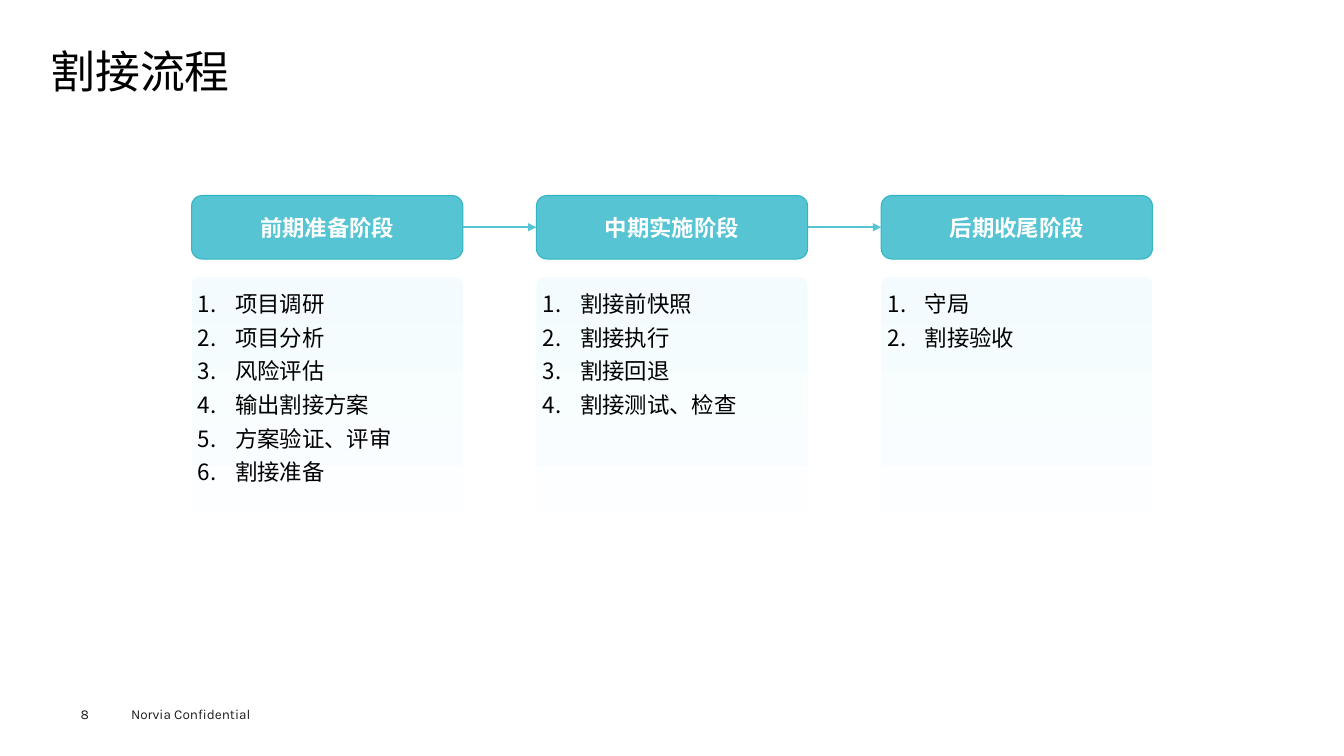
from lxml import etree
from pptx import Presentation
from pptx import util as u
from pptx.dml.color import RGBColor
from pptx.enum import shapes, text
from pptx.oxml.ns import qn

PX = 9144  # 100 px to the inch
FONT = "Karla"
BLACK = RGBColor(0x00, 0x00, 0x00)
WHITE = RGBColor(0xFF, 0xFF, 0xFF)
INK = RGBColor(0x1D, 0x1D, 0x1B)
TEAL = RGBColor(0x56, 0xC4, 0xD2)
TEAL_EDGE = RGBColor(0x30, 0xB5, 0xC5)
PALE_BLUE = RGBColor(0xF3, 0xFB, 0xFE)

STAGES = [
    ("前期准备阶段", ["项目调研", "项目分析", "风险评估", "输出割接方案",
                "方案验证、评审", "割接准备"]),
    ("中期实施阶段", ["割接前快照", "割接执行", "割接回退", "割接测试、检查"]),
    ("后期收尾阶段", ["守局", "割接验收"]),
]
STAGE_WIDTH, STAGE_PITCH = 269, 342
HEADER_HEIGHT, PANEL_OFFSET, PANEL_HEIGHT = 63, 81, 281


def px(*lengths):
    return [u.Emu(length * PX) for length in lengths]


def add_span(para, words, size, color, bold=False):
    span = para.add_run()
    span.text = words
    span.font.name = FONT
    span.font.size = u.Pt(size)
    span.font.bold = bold
    span.font.color.rgb = color


def set_insets(frame, inset):
    inset = px(inset)[0]
    frame.margin_left = frame.margin_right = inset
    frame.margin_top = frame.margin_bottom = inset


def add_label(page, box, words, size, color, inset=0, spacing=None):
    frame = page.shapes.add_textbox(*px(*box)).text_frame
    frame.word_wrap = True
    set_insets(frame, inset)
    para = frame.paragraphs[0]
    para.line_spacing = spacing
    add_span(para, words, size, color)


def add_header(page, box, words):
    header = page.shapes.add_shape(shapes.MSO_SHAPE.ROUNDED_RECTANGLE, *px(*box))
    header.shadow.inherit = False
    header.fill.solid()
    header.fill.fore_color.rgb = TEAL
    header.line.color.rgb = TEAL_EDGE
    header.line.width = u.Pt(0.75)
    frame = header.text_frame
    frame.vertical_anchor = text.MSO_ANCHOR.MIDDLE
    para = frame.paragraphs[0]
    para.alignment = text.PP_ALIGN.CENTER
    add_span(para, words, 16, WHITE, bold=True)
    return header


def add_panel(page, box, steps):
    panel = page.shapes.add_shape(shapes.MSO_SHAPE.ROUNDED_RECTANGLE, *px(*box))
    panel.adjustments[0] = 0.03
    panel.shadow.inherit = False
    panel.line.fill.background()
    panel.fill.gradient()
    panel.fill.gradient_angle = 270
    for stop, color in zip(panel.fill.gradient_stops, (PALE_BLUE, WHITE)):
        stop.color.rgb = color
    frame = panel.text_frame
    frame.vertical_anchor = text.MSO_ANCHOR.TOP
    set_insets(frame, 4)
    for index, step in enumerate(steps):
        para = frame.add_paragraph() if index else frame.paragraphs[0]
        # Hanging automatic number
        props = para._p.get_or_add_pPr()
        props.set("marL", str(37 * PX))
        props.set("indent", str(-37 * PX))
        etree.SubElement(props, qn("a:buFont"), typeface="+mj-lt")
        etree.SubElement(props, qn("a:buAutoNum"), type="arabicPeriod")
        para.alignment = text.PP_ALIGN.LEFT
        para.line_spacing = u.Pt(24)
        add_span(para, step, 16, BLACK)


def add_arrow(page, start, end):
    arrow = page.shapes.add_connector(shapes.MSO_CONNECTOR.STRAIGHT, 0, 0, 0, 0)
    arrow.begin_connect(start, 3)
    arrow.end_connect(end, 1)
    arrow.line.color.rgb = TEAL
    arrow.line.width = u.Pt(1.5)
    etree.SubElement(arrow.line._get_or_add_ln(), qn("a:tailEnd"), type="triangle")
    etree.SubElement(arrow._element.spPr, qn("a:effectLst"))


def add_process(page, left, top):
    headers = []
    for index, (name, steps) in enumerate(STAGES):
        x = left + index * STAGE_PITCH
        headers.append(add_header(page, (x, top, STAGE_WIDTH, HEADER_HEIGHT), name))
        add_panel(page, (x, top + PANEL_OFFSET, STAGE_WIDTH, PANEL_HEIGHT), steps)
    for start, end in zip(headers, headers[1:]):
        add_arrow(page, start, end)


def add_footer(page, left, top):
    add_label(page, (left, top + 5, 40, 16), "8", 9.7, INK)
    add_label(page, (left + 45, top, 160, 27), "Norvia Confidential", 9.7, INK, inset=5)


def main():
    deck = Presentation()
    deck.slide_width, deck.slide_height = px(1333, 750)
    page = deck.slides.add_slide(deck.slide_layouts[6])
    # Title
    add_label(page, (50, 49, 1235, 53), "割接流程", 32, BLACK, spacing=0.9)
    # Three stages with their steps
    add_process(page, 190, 194)
    # Page number and notice
    add_footer(page, 80, 695)
    deck.save("out.pptx")


if __name__ == "__main__":
    main()
